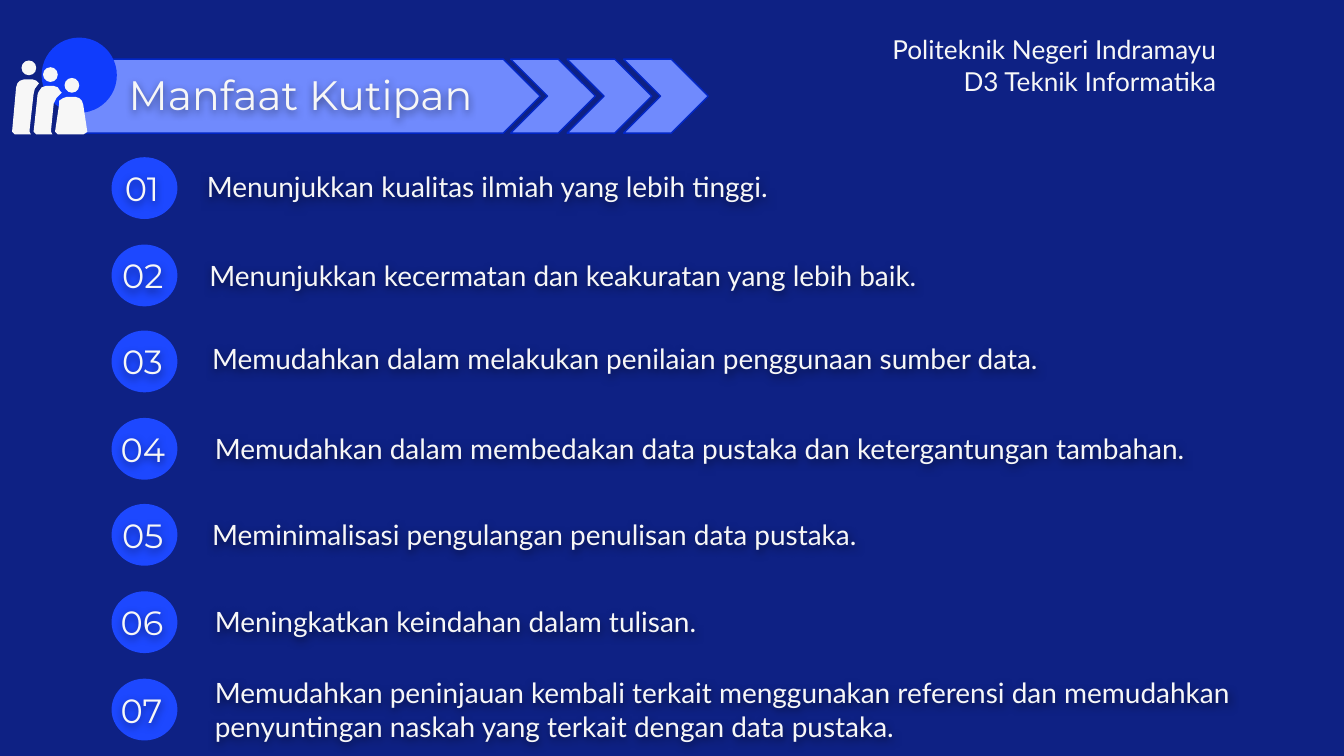
from dataclasses import dataclass
from typing import Any, NamedTuple

from lxml import etree
from pptx import Presentation
from pptx.dml.color import RGBColor
from pptx.enum.shapes import MSO_SHAPE
from pptx.enum.text import MSO_ANCHOR, PP_ALIGN
from pptx.oxml.ns import qn
from pptx.util import Pt

OVAL = MSO_SHAPE.OVAL
PLATE = MSO_SHAPE.PENTAGON
CHEVRON = MSO_SHAPE.CHEVRON
TOP, MIDDLE = MSO_ANCHOR.TOP, MSO_ANCHOR.MIDDLE
LEFT, RIGHT = PP_ALIGN.LEFT, PP_ALIGN.RIGHT
PX = 9144
WIDE = 1000 * PX
HIGH = WIDE * 9 // 16
PITCH = 64.6


@dataclass(frozen=True)
class Theme:
    back: str = "0E2184"
    white: str = "F7F7F7"
    band: str = "708AFD"
    edge: str = "0227C7"
    disc: str = "103CFC"
    dot: str = "1D48FF"
    shade: str = "000000"
    body: str = "Lato"
    head: str = "Montserrat"
    school: int = 14
    item: int = 15
    digit: int = 18
    title: int = 22


class Box(NamedTuple):
    left: int
    top: int
    width: int
    height: int


class Item(NamedTuple):
    text: str
    box: Box
    mark: int


class Point(NamedTuple):
    x: int
    y: int


THEME = Theme()

ITEMS = [
    Item("Menunjukkan kualitas ilmiah yang lebih tinggi.",
         Box(144, 116, 819, 50), 83),
    Item("Menunjukkan kecermatan dan keakuratan yang lebih baik.",
         Box(146, 182, 564, 48), 81),
    Item("Memudahkan dalam melakukan penilaian penggunaan sumber data.",
         Box(148, 244, 640, 48), 81),
    Item("Memudahkan dalam membedakan data pustaka dan ketergantungan tambahan.",
         Box(150, 311, 751, 46), 80),
    Item("Meminimalisasi pengulangan penulisan data pustaka.",
         Box(148, 375, 510, 43), 81),
    Item("Meningkatkan keindahan dalam tulisan.",
         Box(150, 440, 402, 46), 80),
    Item("Memudahkan peninjauan kembali terkait menggunakan referensi dan "
         "memudahkan penyuntingan naskah yang terkait dengan data pustaka.",
         Box(150, 493, 795, 46), 80),
]

HEADS = [Point(16, 45), Point(32, 50), Point(48, 58)]

BODIES = [
    [Point(22, 97), Point(25, 70), Point(26, 66), Point(29, 62), Point(27, 60),
     Point(24, 59), Point(18, 59), Point(15, 60), Point(13, 62), Point(12, 65),
     Point(9, 98), Point(10, 99), Point(11, 100), Point(23, 100), Point(22, 98)],
    [Point(40, 77), Point(42, 73), Point(45, 70), Point(46, 69), Point(45, 68),
     Point(43, 65), Point(40, 64), Point(34, 64), Point(31, 65), Point(29, 68),
     Point(28, 70), Point(25, 98), Point(26, 99), Point(27, 100),
     Point(39, 100), Point(38, 98), Point(38, 97)],
    [Point(62, 78), Point(61, 75), Point(59, 73), Point(56, 72), Point(50, 72),
     Point(47, 73), Point(44, 75), Point(44, 78), Point(41, 98), Point(42, 99),
     Point(43, 100), Point(62, 100), Point(64, 99), Point(65, 98)],
]


def scale(box: Box) -> list[int]:
    return [side * PX for side in box]


def apply(target: Any, values: dict[str, Any]) -> None:
    for name, value in values.items():
        setattr(target, name, value)


def paint(shape: Any, fill: str, edge: str | None = None) -> None:
    shape.shadow.inherit = False
    shape.fill.solid()
    shape.fill.fore_color.rgb = RGBColor.from_string(fill)
    if edge:
        shape.line.color.rgb = RGBColor.from_string(edge)
        shape.line.width = Pt(0.75)
    else:
        shape.line.fill.background()


def draw(slide: Any, kind: Any, box: Box, fill: str, edge: str | None = None) -> None:
    paint(slide.shapes.add_shape(kind, *scale(box)), fill, edge)


def outline(slide: Any, points: list[Point]) -> None:
    start, *rest = points
    pen = slide.shapes.build_freeform(start.x, start.y, scale=PX)
    pen.add_line_segments(rest, close=True)
    paint(pen.convert_to_shape(), THEME.white)


def shade(shape: Any) -> None:
    effects = etree.SubElement(shape.element.spPr, qn("a:effectLst"))
    shadow = etree.SubElement(effects, qn("a:outerShdw"), blurRad="57150",
                              dist="19050", dir="5400000", algn="bl")
    color = etree.SubElement(shadow, qn("a:srgbClr"), val=THEME.shade)
    etree.SubElement(color, qn("a:alpha"), val="50000")


def write(slide: Any, box: Box, lines: list[str], size: int, face: str,
          align: Any = LEFT, anchor: Any = TOP, soft: bool = True) -> None:
    shape = slide.shapes.add_textbox(*scale(box))
    frame = shape.text_frame
    inset = 10 * PX
    apply(frame, {
        "word_wrap": True, "vertical_anchor": anchor,
        "margin_left": inset, "margin_right": inset,
        "margin_top": inset, "margin_bottom": inset,
    })
    frame.text = "\n".join(lines)
    for para in frame.paragraphs:
        para.alignment = align
        for run in para.runs:
            apply(run.font, {"name": face, "size": Pt(size)})
            run.font.color.rgb = RGBColor.from_string(THEME.white)
    if soft:
        shade(shape)


def banner(slide: Any) -> None:
    draw(slide, PLATE, Box(59, 44, 343, 55), THEME.band, THEME.edge)
    for step in range(3):
        draw(slide, CHEVRON, Box(380 + 42 * step, 44, 63, 55), THEME.band, THEME.edge)
    draw(slide, OVAL, Box(31, 28, 56, 56), THEME.disc)
    for body in BODIES:
        outline(slide, body)
    for head in HEADS:
        draw(slide, OVAL, Box(head.x, head.y, 11, 11), THEME.white)
    write(slide, Box(86, 42, 296, 70), ["Manfaat Kutipan"], THEME.title, THEME.head)


def entry(slide: Any, index: int, item: Item) -> None:
    top = round(117 + PITCH * index)
    draw(slide, OVAL, Box(83, top, 49, 46), THEME.dot)
    write(slide, Box(item.mark, top - 2, 58, 38), [f"{index + 1:02}"],
          THEME.digit, THEME.head)
    write(slide, item.box, [item.text], THEME.item, THEME.body)


def main() -> None:
    deck = Presentation()
    apply(deck, {"slide_width": WIDE, "slide_height": HIGH})
    slide = deck.slides.add_slide(deck.slide_layouts[6])
    slide.background.fill.solid()
    slide.background.fill.fore_color.rgb = RGBColor.from_string(THEME.back)
    write(slide, Box(585, 16, 330, 65),
          ["Politeknik Negeri Indramayu", "D3 Teknik Informatika"],
          THEME.school, THEME.body, RIGHT, MIDDLE, False)
    banner(slide)
    for index, item in enumerate(ITEMS):
        entry(slide, index, item)
    deck.save("out.pptx")


if __name__ == "__main__":
    main()
